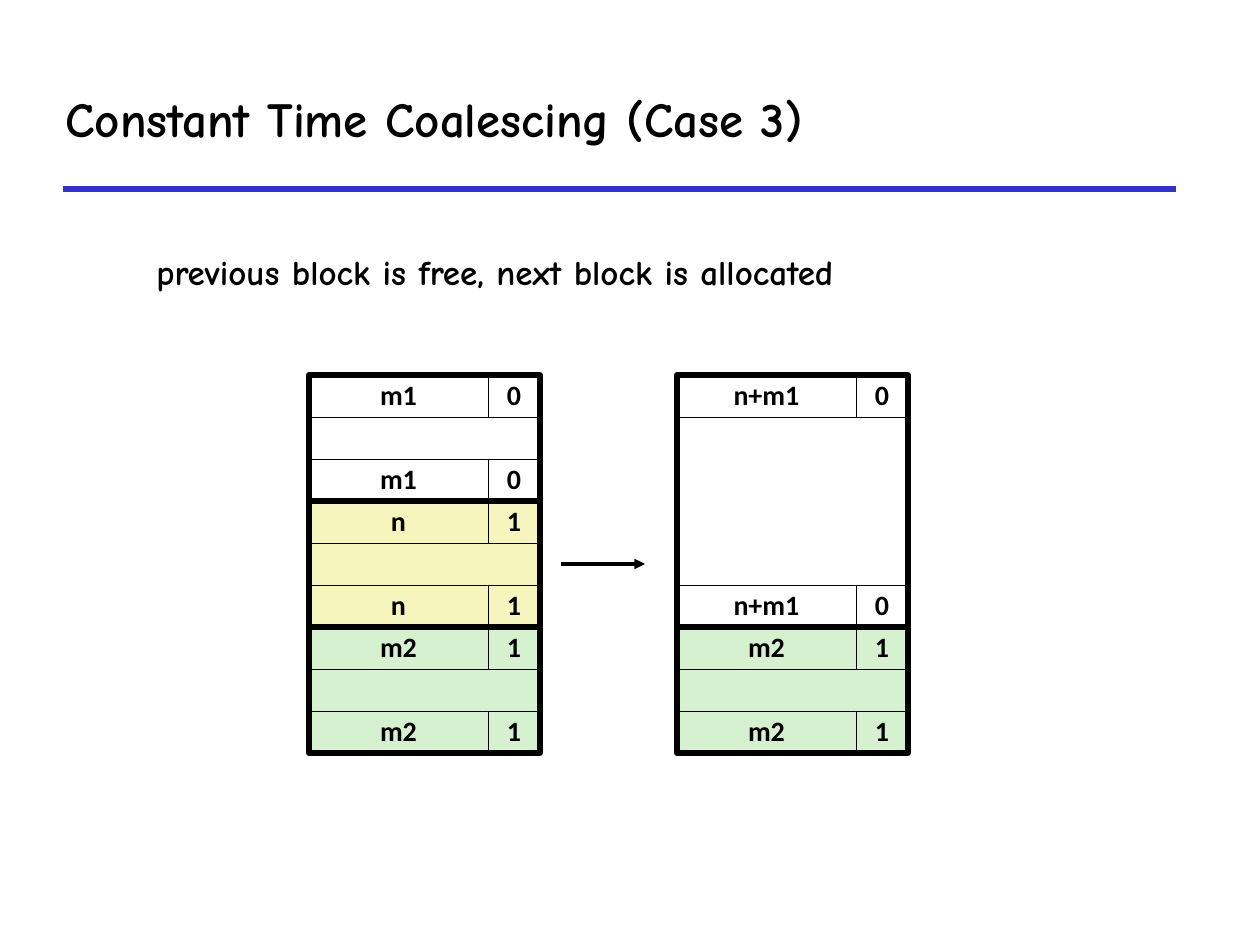
from dataclasses import dataclass

from lxml import etree
from pptx import Presentation
from pptx import util as u
from pptx.dml.color import RGBColor
from pptx.enum import shapes, text
from pptx.oxml.ns import qn


@dataclass(frozen=True)
class Theme:
    ink: str = "000000"
    rule: str = "3333CC"
    free: str = "FFFFFF"
    current: str = "F6F5BD"
    allocated: str = "D5F1CF"
    heading_font: str = "Comic Neue"
    cell_font: str = "Calibri"
    title_size: int = 28
    body_size: int = 20
    cell_size: int = 16
    thin: float = 0.25
    thick: float = 3
    arrow: float = 2


THEME = Theme()
PX_PER_INCH = 126
ROW, SIZE_WIDTH, FLAG_WIDTH = 42, 179, 52
BLOCK_WIDTH = SIZE_WIDTH + FLAG_WIDTH
HEAP_TOP = 375


def px(*lengths):
    return [round(length * u.Inches(1) / PX_PER_INCH) for length in lengths]


def write(text_frame, words, font, size, align):
    text_frame.text = words
    text_frame.word_wrap = True
    text_frame.auto_size = text.MSO_AUTO_SIZE.NONE
    paragraph = text_frame.paragraphs[0]
    paragraph.alignment = align
    run_font = paragraph.runs[0].font
    run_font.name, run_font.size, run_font.bold = font, u.Pt(size), True
    run_font.color.rgb = RGBColor.from_string(THEME.ink)


def add_title(slide, words):
    title = slide.shapes.title
    title.left, title.top, title.width, title.height = px(53, 78, 1155, 79)
    title.text_frame.vertical_anchor = text.MSO_ANCHOR.MIDDLE
    write(title.text_frame, words, THEME.heading_font, THEME.title_size,
          text.PP_ALIGN.LEFT)


def add_caption(slide, words):
    caption = slide.shapes.add_textbox(*px(144, 244, 806, 54))
    write(caption.text_frame, words, THEME.heading_font, THEME.body_size,
          text.PP_ALIGN.LEFT)


def add_line(slide, ends, color, width, arrow=False):
    line = slide.shapes.add_connector(shapes.MSO_CONNECTOR.STRAIGHT, *px(*ends))
    line.line.color.rgb = RGBColor.from_string(color)
    line.line.width = u.Pt(width)
    if arrow:
        etree.SubElement(line.line._get_or_add_ln(), qn("a:tailEnd"), type="triangle")
    etree.SubElement(line._element.spPr, qn("a:effectLst"))


def add_box(slide, area, fill=None, width=THEME.thin, words=""):
    box = slide.shapes.add_shape(shapes.MSO_SHAPE.RECTANGLE, *px(*area))
    box.shadow.inherit = False
    if fill:
        box.fill.solid()
        box.fill.fore_color.rgb = RGBColor.from_string(fill)
    else:
        box.fill.background()
    box.line.color.rgb = RGBColor.from_string(THEME.ink)
    box.line.width = u.Pt(width)
    if words:
        frame = box.text_frame
        frame.margin_left = frame.margin_right = 0
        frame.margin_top = frame.margin_bottom = 0
        frame.vertical_anchor = text.MSO_ANCHOR.MIDDLE
        write(frame, words, THEME.cell_font, THEME.cell_size, text.PP_ALIGN.CENTER)
        frame.paragraphs[0].line_spacing = 0.98


def add_block(slide, left, top, size, flag, fill, rows):
    """Header and footer tags around a payload, inside a thick frame."""
    height = rows * ROW
    add_box(slide, (left, top + ROW, BLOCK_WIDTH, height - 2 * ROW), fill)
    for tag_top in (top, top + height - ROW):
        add_box(slide, (left, tag_top, SIZE_WIDTH, ROW), fill, words=size)
        add_box(slide, (left + SIZE_WIDTH, tag_top, FLAG_WIDTH, ROW), fill, words=flag)
    add_box(slide, (left, top, BLOCK_WIDTH, height), width=THEME.thick)


def add_heap(slide, left, blocks):
    top = HEAP_TOP
    for size, flag, fill, rows in blocks:
        add_block(slide, left, top, size, flag, fill, rows)
        top += rows * ROW


def main():
    presentation = Presentation()
    presentation.slide_width, presentation.slide_height = px(1260, 945)
    slide = presentation.slides.add_slide(presentation.slide_layouts[5])

    # Heading
    add_line(slide, (63, 189, 1176, 189), THEME.rule, THEME.thick)
    add_title(slide, "Constant Time Coalescing (Case 3)")
    add_caption(slide, "previous block is free, next block is allocated")

    # Heap before and after coalescing
    next_block = ("m2", "1", THEME.allocated, 3)
    add_heap(slide, 309, [("m1", "0", THEME.free, 3),
                          ("n", "1", THEME.current, 3),
                          next_block])
    add_line(slide, (561, 564, 645, 564), THEME.ink, THEME.arrow, arrow=True)
    add_heap(slide, 677, [("n+m1", "0", THEME.free, 6), next_block])

    presentation.save("out.pptx")


if __name__ == "__main__":
    main()
